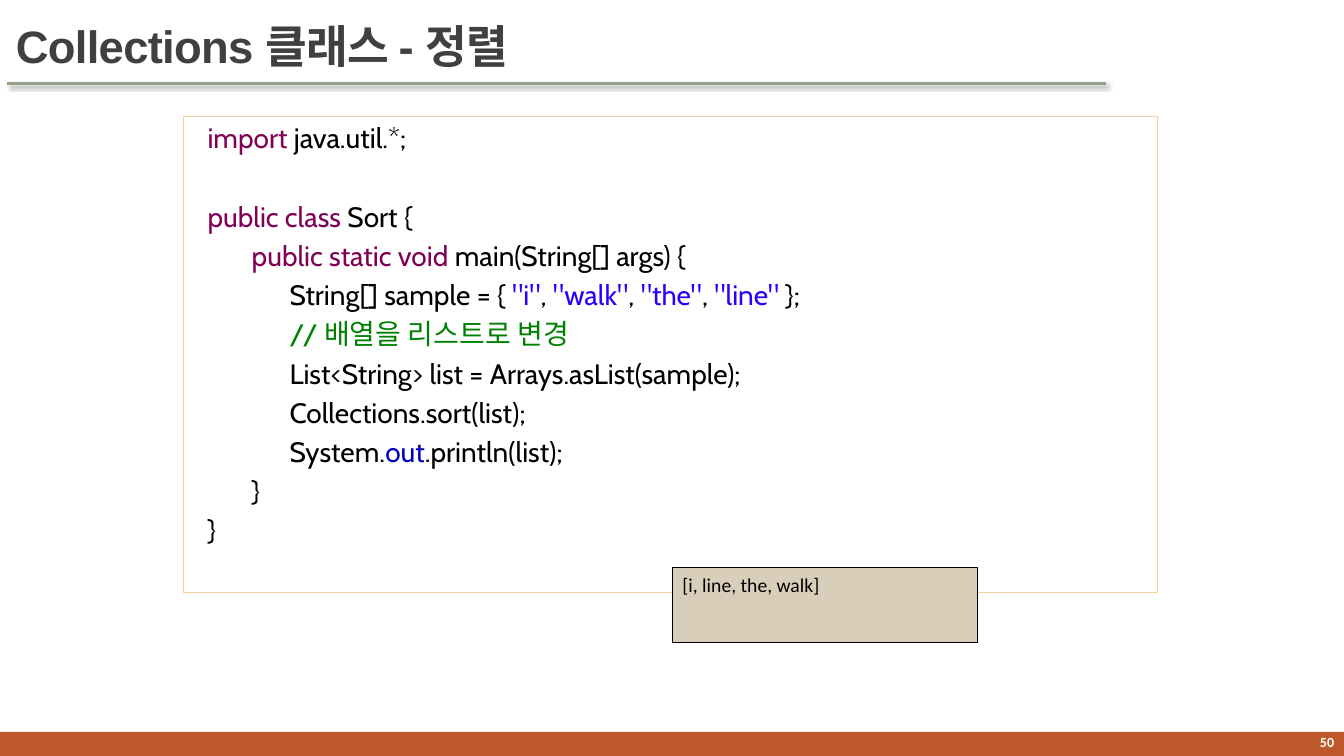
"""Build the slide on sorting with the Collections class."""
from dataclasses import dataclass

from lxml import etree
from pptx import Presentation
from pptx.dml.color import RGBColor
from pptx.enum.shapes import MSO_CONNECTOR, MSO_SHAPE
from pptx.enum.text import MSO_ANCHOR, PP_ALIGN
from pptx.oxml.ns import qn
from pptx.slide import Slide
from pptx.util import Pt

EMU_PER_PX = 9144
RECTANGLE = MSO_SHAPE.RECTANGLE
STRAIGHT = MSO_CONNECTOR.STRAIGHT
TOP, MIDDLE = MSO_ANCHOR.TOP, MSO_ANCHOR.MIDDLE
LEFT, RIGHT = PP_ALIGN.LEFT, PP_ALIGN.RIGHT


@dataclass(frozen=True)
class TextStyle:
    """Font settings shared by the runs of one text."""
    font: str
    size: float
    color: str = "000000"
    bold: bool = False
    spacing: int = 0


@dataclass(frozen=True)
class Theme:
    """Colours and type sizes of the slide."""
    white: str = "FFFFFF"
    black: str = "000000"
    footer: str = "BD582C"
    rule: str = "94A088"
    code_border: str = "F7CE9D"
    output_fill: str = "D8CEBA"
    keyword: str = "7F0055"
    string: str = "2A00FF"
    comment: str = "008000"
    field: str = "0000C0"
    title: TextStyle = TextStyle("Arial", 32.4, "404040", True, -50)
    page: TextStyle = TextStyle("Calibri", 10, "FFFFFF", True)
    code: TextStyle = TextStyle("Cabin", 20)
    output: TextStyle = TextStyle("Calibri", 14)
    code_gap: int = 4
    code_blank: int = 32


def px(length):
    """Turn px into EMU."""
    return length * EMU_PER_PX


@dataclass
class SlideBuilder:
    """Draw elements on one slide in one theme."""
    slide: Slide
    theme: Theme

    def box(self, left, top, width, height, fill, border=None, border_width=0.25):
        """Add a filled rectangle."""
        shape = self.slide.shapes.add_shape(RECTANGLE, *map(px, (left, top, width, height)))
        shape.shadow.inherit = False
        shape.fill.solid()
        shape.fill.fore_color.rgb = RGBColor.from_string(fill)
        if border:
            shape.line.color.rgb = RGBColor.from_string(border)
            shape.line.width = Pt(border_width)
        else:
            shape.line.fill.background()
        return shape

    def rule(self, left, top, right):
        """Add a horizontal line with a soft shadow."""
        line = self.slide.shapes.add_connector(STRAIGHT, *map(px, (left, top, right, top)))
        line.line.color.rgb = RGBColor.from_string(self.theme.rule)
        line.line.width = Pt(2)
        effects = etree.SubElement(line._element.spPr, qn("a:effectLst"))
        shadow = etree.SubElement(effects, qn("a:outerShdw"), blurRad=str(Pt(3)),
                                  dist=str(Pt(2)), dir="2700000", algn="tl", rotWithShape="0")
        color = etree.SubElement(shadow, qn("a:srgbClr"), val=self.theme.black)
        etree.SubElement(color, qn("a:alpha"), val="60000")

    def label(self, left, top, width, height, text, style, align=LEFT):
        """Add a vertically centred text box."""
        shape = self.slide.shapes.add_textbox(*map(px, (left, top, width, height)))
        self.add_lines(shape, [(0, [(text, style.color)])], style, align, MIDDLE)

    def add_lines(self, shape, lines, style, align=LEFT, anchor=TOP, indent=0):
        """Fill a shape with lines of (space before, coloured runs)."""
        frame = shape.text_frame
        frame.word_wrap = True
        frame.vertical_anchor = anchor
        for index, (gap, runs) in enumerate(lines):
            paragraph = frame.add_paragraph() if index else frame.paragraphs[0]
            paragraph.alignment = align
            paragraph.space_before = Pt(gap)
            properties = paragraph._p.get_or_add_pPr()
            properties.set("marL", str(px(indent)))
            properties.set("indent", "0")
            for text, color in runs:
                run = paragraph.add_run()
                run.text = text
                run.font.name = style.font
                run.font.size = Pt(style.size)
                run.font.bold = style.bold
                run.font.color.rgb = RGBColor.from_string(color)
                if style.spacing:
                    run._r.get_or_add_rPr().set("spc", str(style.spacing))


def code_lines(theme):
    """Return the Java listing as spaced lines of coloured runs."""
    plain, keyword, string = theme.black, theme.keyword, theme.string
    method, body = " " * 7, " " * 13
    words = [('"i"', string)]
    for word in ("walk", "the", "line"):
        words += [(", ", plain), (f'"{word}"', string)]
    gap = theme.code_gap
    return [
        (0, [("import", keyword), (" java.util.*;", plain)]),
        (theme.code_blank, [("public class", keyword), (" Sort {", plain)]),
        (gap, [(method, plain), ("public static void", keyword),
               (" main(String[] args) {", plain)]),
        (gap, [(body + "String[] sample = { ", plain), *words, (" };", plain)]),
        (gap, [(body + "// 배열을 리스트로 변경", theme.comment)]),
        (gap, [(body + "List<String> list = Arrays.asList(sample);", plain)]),
        (gap, [(body + "Collections.sort(list);", plain)]),
        (gap, [(body + "System.", plain), ("out", theme.field), (".println(list);", plain)]),
        (gap, [(method + "}", plain)]),
        (gap, [("}", plain)]),
    ]


def main():
    """Build and save the slide."""
    presentation = Presentation()
    presentation.slide_width, presentation.slide_height = px(1333), px(750)
    theme = Theme()
    builder = SlideBuilder(presentation.slides.add_slide(presentation.slide_layouts[6]), theme)

    builder.box(0, 726, 1333, 24, theme.footer)
    builder.rule(7, 83, 1097)
    builder.label(6, 12, 1100, 67, "Collections 클래스 - 정렬", theme.title)
    builder.label(1190, 723, 143, 27, "50", theme.page, RIGHT)

    listing = builder.box(182, 115, 966, 473, theme.white, theme.code_border)
    builder.add_lines(listing, code_lines(theme), theme.code, indent=14)
    output = builder.box(667, 563, 303, 74, theme.output_fill, theme.black, 0.75)
    builder.add_lines(output, [(0, [("[i, line, the, walk]", theme.black)])], theme.output)

    presentation.save("out.pptx")


if __name__ == "__main__":
    main()
